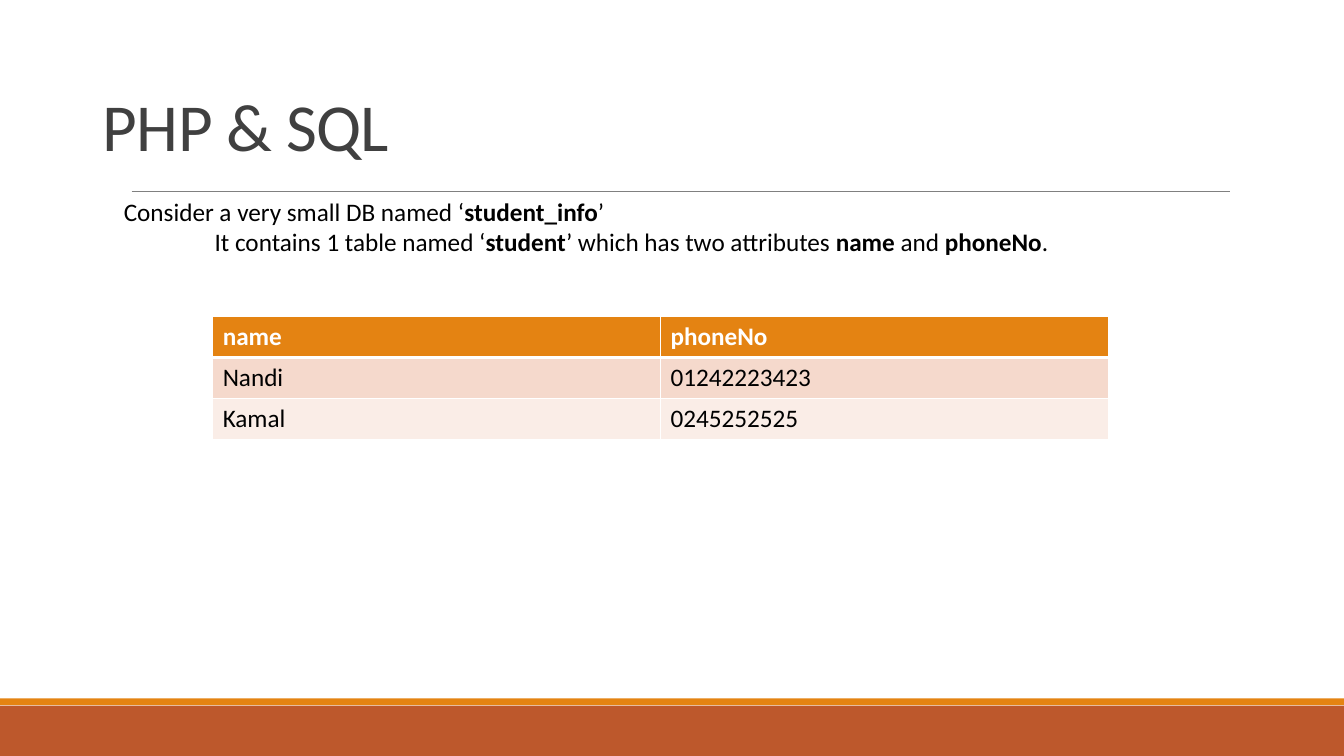
from lxml import etree
from pptx import Presentation
from pptx import util as u
from pptx.dml.color import RGBColor
from pptx.enum import shapes, text
from pptx.oxml import ns

FONT = "Calibri"
ORANGE, RUST, WHITE, BLACK = "E48312", "BD582C", "FFFFFF", "000000"
ROW_FILLS = [ORANGE, "F5D9CC", "FAEDE7"]
STUDENTS = [("name", "phoneNo"), ("Nandi", "01242223423"), ("Kamal", "0245252525")]


def rgb(value):
    return RGBColor.from_string(value)


def write(p, content, size=18, color=BLACK, bold=False, spacing=None):
    """Add runs to a paragraph; parts between asterisks are bold."""
    for i, part in enumerate(content.split("*")):
        r = p.add_run()
        r.text = part
        r.font.name, r.font.size = FONT, u.Pt(size)
        r.font.bold = bold or i % 2 == 1
        r.font.color.rgb = rgb(color)
        if spacing is not None:
            r.font._element.set("spc", str(round(spacing * 100)))


def set_border(cell, side, width):
    tcPr = cell._tc.get_or_add_tcPr()
    ln = etree.SubElement(tcPr, ns.qn(f"a:ln{side}"), w=str(u.Pt(width)))
    fill = etree.SubElement(ln, ns.qn("a:solidFill"))
    etree.SubElement(fill, ns.qn("a:srgbClr"), val=WHITE)


class SlideBuilder:
    def __init__(self, prs):
        self.s = prs.slides.add_slide(prs.slide_layouts[5])
        self.s.background.fill.solid()
        self.s.background.fill.fore_color.rgb = rgb(WHITE)

    def band(self, top, width, height, color):
        sp = self.s.shapes.add_shape(
            shapes.MSO_SHAPE.RECTANGLE, 0, u.Cm(top), width, u.Cm(height))
        sp.shadow.inherit = False
        sp.fill.solid()
        sp.fill.fore_color.rgb = rgb(color)
        sp.line.fill.background()

    def rule(self, left, right, y, color):
        line = self.s.shapes.add_connector(
            shapes.MSO_CONNECTOR.STRAIGHT, u.Cm(left), u.Cm(y), u.Cm(right), u.Cm(y))
        line.line.color.rgb = rgb(color)
        line.line.width = u.Pt(0.5)
        etree.SubElement(line._element.spPr, ns.qn("a:effectLst"))

    def title(self, content, left, top, width, height):
        sp = self.s.shapes.title
        sp.left, sp.top, sp.width, sp.height = map(u.Cm, (left, top, width, height))
        tf = sp.text_frame
        tf.auto_size = text.MSO_AUTO_SIZE.NONE
        tf.vertical_anchor = text.MSO_ANCHOR.BOTTOM
        p = tf.paragraphs[0]
        p.alignment, p.line_spacing = text.PP_ALIGN.LEFT, 0.85
        write(p, content, size=48, color="404040", spacing=-0.5)

    def text_box(self, lines, left, top, width, height):
        """Add a text box from (content, left indent) pairs."""
        tf = self.s.shapes.add_textbox(*map(u.Cm, (left, top, width, height))).text_frame
        tf.word_wrap = True
        for i, (content, indent) in enumerate(lines):
            p = tf.add_paragraph() if i else tf.paragraphs[0]
            p._p.get_or_add_pPr().set("marL", str(u.Cm(indent)))
            write(p, content)

    def table(self, rows, left, top, width, height):
        table = self.s.shapes.add_table(
            len(rows), len(rows[0]), *map(u.Cm, (left, top, width, height))).table
        for i, row in enumerate(rows):
            for j, content in enumerate(row):
                cell = table.cell(i, j)
                widths = {"L": 1, "R": 1, "T": 3 if i == 1 else 1, "B": 3 if i == 0 else 1}
                for side, border in widths.items():
                    set_border(cell, side, border)
                cell.fill.solid()
                cell.fill.fore_color.rgb = rgb(ROW_FILLS[i])
                write(cell.text_frame.paragraphs[0], content,
                      color=BLACK if i else WHITE, bold=i == 0)


def main():
    prs = Presentation()
    prs.slide_width, prs.slide_height = u.Cm(33.87), u.Cm(19.05)
    slide = SlideBuilder(prs)
    slide.band(17.78, prs.slide_width, 1.27, RUST)
    slide.band(17.6, prs.slide_width, 0.17, ORANGE)
    slide.rule(3.32, 31, 4.82, "808080")
    slide.title("PHP & SQL", 2.34, 0.6, 29.2, 3.69)
    slide.text_box([
        ("Consider a very small DB named ‘*student_info*’", 0),
        ("It contains 1 table named ‘*student*’ which has two attributes "
         "*name* and *phoneNo*.", 2.29),
    ], 2.87, 4.82, 28.24, 2.57)
    slide.table(STUDENTS, 5.36, 7.98, 22.57, 3.09)
    prs.save("out.pptx")


if __name__ == "__main__":
    main()
